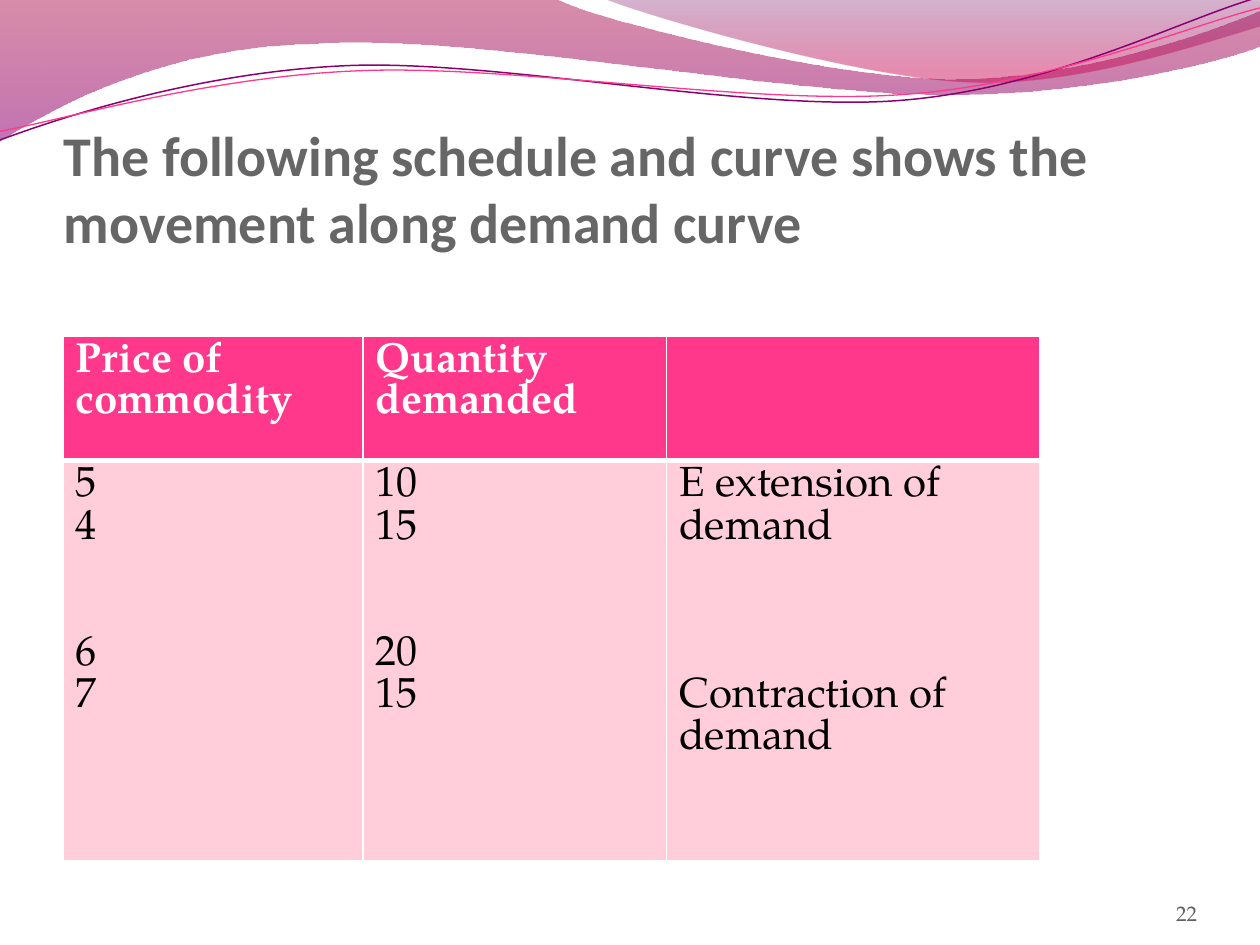
from lxml.etree import SubElement
from pptx import Presentation
from pptx.dml.color import RGBColor
from pptx.enum.text import MSO_ANCHOR, PP_ALIGN
from pptx.oxml.ns import qn
from pptx.util import Pt

SERIF = "TeX Gyre Pagella"
TITLE = "The following schedule and curve shows the movement along demand curve"
PAGE_NUMBER = "22"

# Table cells: lists of (text, space before in points)
HEADINGS = ["Price of commodity", "Quantity demanded", ""]
SCHEDULE = [
    [("5", 0), ("4", 0), ("6", 48), ("7", 0)],
    [("10", 0), ("15", 0), ("20", 48), ("15", 0)],
    [("E extension of demand", 0), ("Contraction of demand", 72)],
]
COLUMN_WIDTHS = [171.4, 173.6, 213]
ROW_HEIGHTS = [71, 229]

# Outlines: a start point, then one point per line or three per Bezier curve
BANDS = [
    {"start": (0, 0),
     "segments": [[(317, -1)],
                  [(343, 12), (478, 45), (546, 45)],
                  [(614, 45), (690, 19), (720, 6)],
                  [(721, 26)],
                  [(708, 32), (626, 55), (537, 54)],
                  [(446, 54), (275, 20), (185, 24.5)],
                  [(93, 26), (33, 60), (-1, 81)]],
     "stops": [(0, "A90042", 45), (1, "8E0073", 55)]},
    {"start": (345, -1),
     "segments": [[(366, 8), (491, 45), (554, 47)],
                  [(616, 50), (692, 23), (720, 15)],
                  [(720, 0)]],
     "stops": [(0, "73005E", 30), (0.8, "C9004F", 45)]},
]
WAVES = [
    {"start": (0, 80),
     "segments": [[(35, 67), (114, 41), (199, 37.5)],
                  [(284, 34), (427, 64), (513, 57.5)],
                  [(600, 51), (675, 11), (719, -1.5)]],
     "color": "8A0070", "width": 0.85},
    {"start": (0, 75),
     "segments": [[(34, 69), (118, 44), (204, 40.5)],
                  [(290, 36.5), (430, 60.5), (516, 54)],
                  [(602, 48), (678, 15), (720, 4.5)]],
     "color": "FF388C", "width": 0.75},
]


def rgb(value):
    return RGBColor.from_string(value)


def add_outline(slide, outline, close):
    """Place every point with the builder, then join each three into a curve."""
    builder = slide.shapes.build_freeform(*map(Pt, outline["start"]))
    points = [(Pt(x), Pt(y)) for segment in outline["segments"] for x, y in segment]
    builder.add_line_segments(points, close=close)
    shape = builder.convert_to_shape()
    shape.shadow.inherit = False
    lines = iter(list(shape._element.iter(qn("a:lnTo"))))
    for segment in outline["segments"]:
        first, *others = [next(lines) for _ in segment]
        if others:
            first.tag = qn("a:cubicBezTo")
            for line in others:
                first.append(line[0])
                line.getparent().remove(line)
    return shape


def write(paragraph, text, color, **font_values):
    run = paragraph.add_run()
    run.text = text
    run.font.color.rgb = rgb(color)
    for name, value in font_values.items():
        setattr(run.font, name, value)


def add_label(slide, box, text, color, align, top_inset=0, **font_values):
    frame = slide.shapes.add_textbox(*map(Pt, box)).text_frame
    frame_values = {"word_wrap": True, "vertical_anchor": MSO_ANCHOR.BOTTOM,
                    "margin_left": 0, "margin_right": 0,
                    "margin_top": Pt(top_inset), "margin_bottom": 0}
    for name, value in frame_values.items():
        setattr(frame, name, value)
    frame.paragraphs[0].alignment = align
    write(frame.paragraphs[0], text, color, **font_values)


def fill_cell(cell, lines, fill, color, bold, borders):
    properties = cell._tc.get_or_add_tcPr()
    for side, width in borders.items():
        line = SubElement(properties, qn(f"a:{side}"), w=str(Pt(width)))
        SubElement(SubElement(line, qn("a:solidFill")), qn("a:srgbClr"), val="FFFFFF")
    cell.fill.solid()
    cell.fill.fore_color.rgb = rgb(fill)
    frame = cell.text_frame
    for index, (text, gap) in enumerate(lines):
        paragraph = frame.add_paragraph() if index else frame.paragraphs[0]
        if gap:
            paragraph.space_before = Pt(gap)
        write(paragraph, text, color, name=SERIF, size=Pt(24), bold=bold)


presentation = Presentation()
presentation.slide_width, presentation.slide_height = Pt(720), Pt(540)
slide = presentation.slides.add_slide(presentation.slide_layouts[6])

# Translucent bands across the top
for band in BANDS:
    shape = add_outline(slide, band, close=True)
    shape.line.fill.background()
    shape.fill.gradient()
    shape.fill.gradient_angle = 270
    for stop, (position, color, opacity) in zip(shape.fill.gradient_stops, band["stops"]):
        stop.position = position
        stop.color.rgb = rgb(color)
        color_node = stop._gs.find(qn("a:srgbClr"))
        SubElement(color_node, qn("a:alpha"), val=str(opacity * 1000))

# Thin waves
for wave in WAVES:
    shape = add_outline(slide, wave, close=False)
    shape.fill.background()
    shape.line.color.rgb = rgb(wave["color"])
    shape.line.width = Pt(wave["width"])

# Title and page number
add_label(slide, (36.4, 55.5, 648, 90), TITLE, "666666", PP_ALIGN.LEFT, top_inset=3.6,
          name="Calibri", size=Pt(32), bold=True)
add_label(slide, (624, 500.5, 60, 28.75), PAGE_NUMBER, "616161", PP_ALIGN.RIGHT,
          name=SERIF, size=Pt(12))

# Demand schedule
schedule = slide.shapes.add_table(2, 3, Pt(36), Pt(192), Pt(sum(COLUMN_WIDTHS)),
                                  Pt(sum(ROW_HEIGHTS))).table
for row, height in zip(schedule.rows, ROW_HEIGHTS):
    row.height = Pt(height)
for index, (width, heading, lines) in enumerate(zip(COLUMN_WIDTHS, HEADINGS, SCHEDULE)):
    schedule.columns[index].width = Pt(width)
    fill_cell(schedule.cell(0, index), [(heading, 0)] if heading else [], "FF388C",
              "FFFFFF", True, {"lnL": 1, "lnR": 1, "lnT": 1, "lnB": 3})
    fill_cell(schedule.cell(1, index), lines, "FFCEDA",
              "000000", False, {"lnL": 1, "lnR": 1, "lnT": 3, "lnB": 1})

presentation.save("out.pptx")
